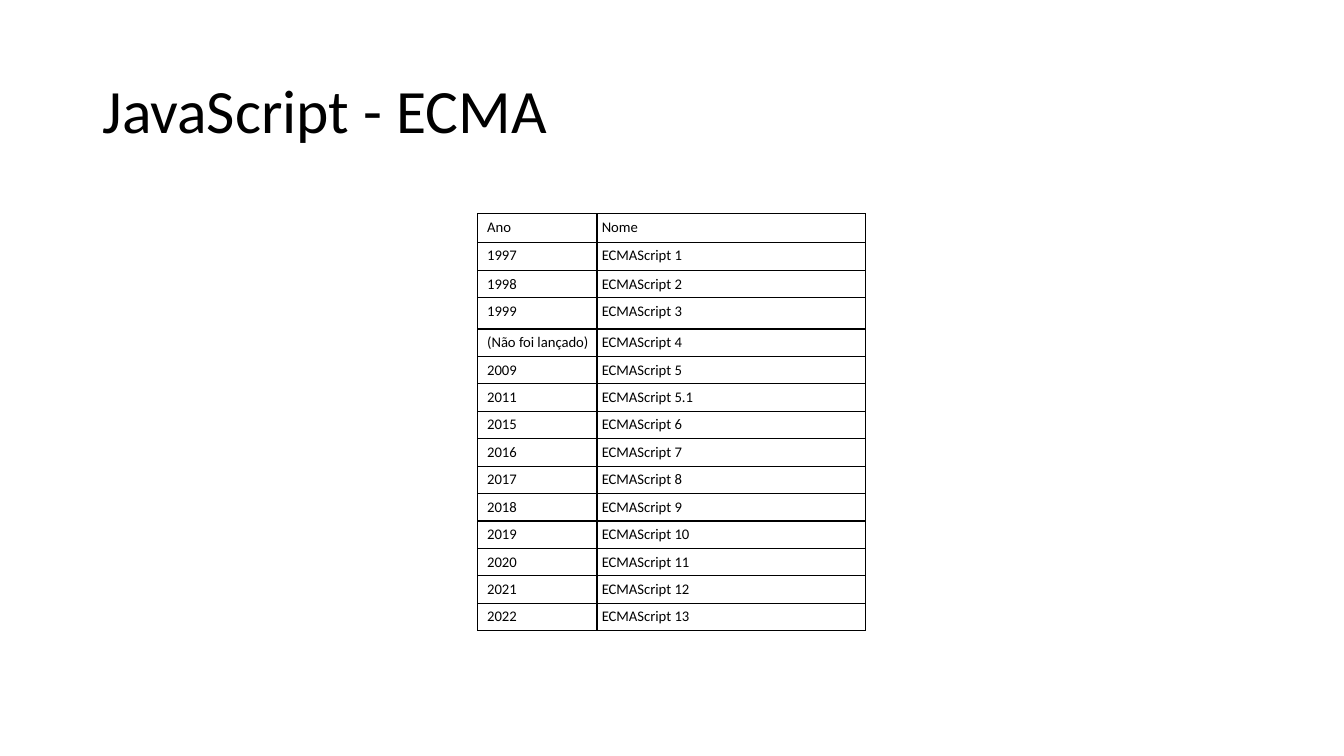
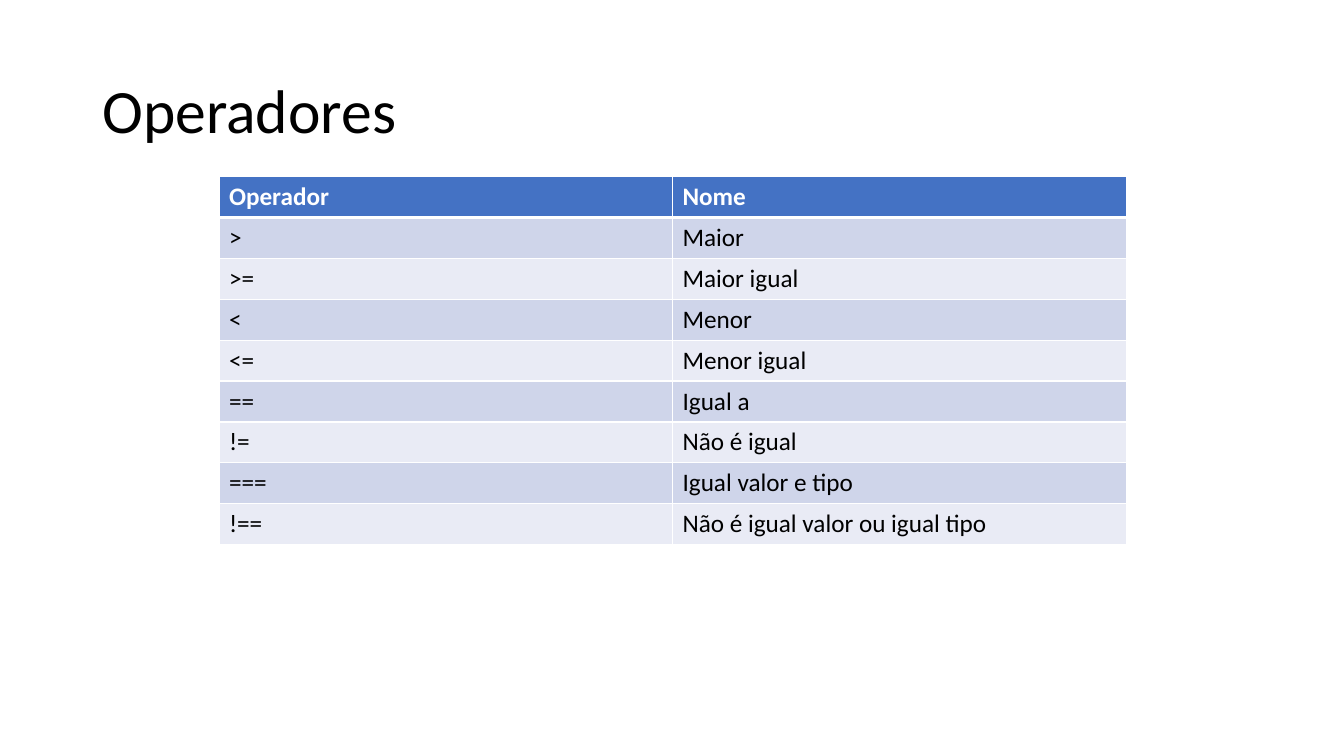
from lxml.etree import SubElement
from pptx import Presentation
from pptx.dml.color import RGBColor
from pptx.enum.text import MSO_ANCHOR as Anchor, MSO_AUTO_SIZE as AutoSize, PP_ALIGN as Align
from pptx.oxml.ns import qn
from pptx.util import Pt

BLACK, WHITE = "000000", "FFFFFF"
HEADER_BLUE = "4472C4"
BANDS = ("CFD5EA", "E9EBF5")

ECMA_VERSIONS = [
    ("Ano", "Nome"),
    ("1997", "ECMAScript 1"),
    ("1998", "ECMAScript 2"),
    ("1999", "ECMAScript 3"),
    ("(Não foi lançado)", "ECMAScript 4"),
    ("2009", "ECMAScript 5"),
    ("2011", "ECMAScript 5.1"),
    *((str(2009 + number), f"ECMAScript {number}") for number in range(6, 14)),
]

OPERATORS = [
    ("Operador", "Nome"),
    (">", "Maior"),
    (">=", "Maior igual"),
    ("<", "Menor"),
    ("<=", "Menor igual"),
    ("==", "Igual a"),
    ("!=", "Não é igual"),
    ("===", "Igual valor e tipo"),
    ("!==", "Não é igual valor ou igual tipo"),
]


def rgb(color):
    return RGBColor.from_string(color)


class Deck:
    """Holds the shared style and the slide being built."""

    FONT = "Calibri"
    TITLE_SIZE = 44
    TITLE_BOX = (66, 28.8, 828, 104.4)

    def __init__(self):
        self.prs = Presentation()
        self.prs.slide_width, self.prs.slide_height = Pt(960), Pt(540)
        self.slide = None

    def format_runs(self, paragraph, size, color=BLACK, bold=False):
        for run in paragraph.runs:
            run.font.name = self.FONT
            run.font.size = Pt(size)
            run.font.bold = bold
            run.font.color.rgb = rgb(color)

    def add_slide(self, heading):
        self.slide = self.prs.slides.add_slide(self.prs.slide_layouts[5])
        title = self.slide.shapes.title
        title.left, title.top, title.width, title.height = map(Pt, self.TITLE_BOX)
        frame = title.text_frame
        frame.text = heading
        frame.auto_size = AutoSize.NONE
        frame.vertical_anchor = Anchor.MIDDLE
        paragraph = frame.paragraphs[0]
        paragraph.alignment = Align.LEFT
        paragraph.line_spacing = 0.9
        self.format_runs(paragraph, self.TITLE_SIZE)

    def add_table(self, rows, left, top, widths, heights):
        """Add a table without the default bands and return it."""
        frame = self.slide.shapes.add_table(
            len(rows), len(widths), Pt(left), Pt(top), Pt(sum(widths)), Pt(sum(heights)))
        table = frame.table
        table.first_row = table.horz_banding = False
        for column, width in zip(table.columns, widths):
            column.width = Pt(width)
        for row, height, texts in zip(table.rows, heights, rows):
            row.height = Pt(height)
            for cell, text in zip(row.cells, texts):
                cell.text_frame.text = text
        return table

    def style_cell(self, cell, size, color=BLACK, bold=False, fill=None):
        self.format_runs(cell.text_frame.paragraphs[0], size, color, bold)
        if fill:
            cell.fill.solid()
            cell.fill.fore_color.rgb = rgb(fill)
        else:
            cell.fill.background()

    def set_borders(self, cell, color, top=1, bottom=1):
        """Draw all four sides; call before the fill, which must follow them in XML."""
        properties = cell._tc.get_or_add_tcPr()
        for side, width in (("L", 1), ("R", 1), ("T", top), ("B", bottom)):
            line = SubElement(properties, qn(f"a:ln{side}"), w=str(Pt(width)))
            SubElement(SubElement(line, qn("a:solidFill")), qn("a:srgbClr"), val=color)

    def save(self):
        self.prs.save("out.pptx")


def build_versions(deck):
    deck.add_slide("JavaScript - ECMA")
    heights = [20.2, 20.2, 19.6, 22.3] + [19.6] * (len(ECMA_VERSIONS) - 4)
    table = deck.add_table(ECMA_VERSIONS, 341.3, 152.8, (85.2, 192), heights)
    for row in table.rows:
        for cell, left_margin in zip(row.cells, (6.7, 3.4)):
            cell.margin_left = Pt(left_margin)
            cell.margin_right = cell.margin_top = cell.margin_bottom = Pt(3.4)
            deck.set_borders(cell, BLACK)
            deck.style_cell(cell, 10.5)


def build_operators(deck):
    deck.add_slide("Operadores")
    table = deck.add_table(OPERATORS, 156.4, 126.2, (324, 324), [29.2] * len(OPERATORS))
    for index, row in enumerate(table.rows):
        is_header = index == 0
        for cell in row.cells:
            deck.set_borders(cell, WHITE, top=3 if index == 1 else 1,
                             bottom=3 if is_header else 1)
            if is_header:
                deck.style_cell(cell, 18, WHITE, True, HEADER_BLUE)
            else:
                deck.style_cell(cell, 18, fill=BANDS[(index - 1) % 2])


def main():
    deck = Deck()
    build_versions(deck)
    build_operators(deck)
    deck.save()


if __name__ == "__main__":
    main()
